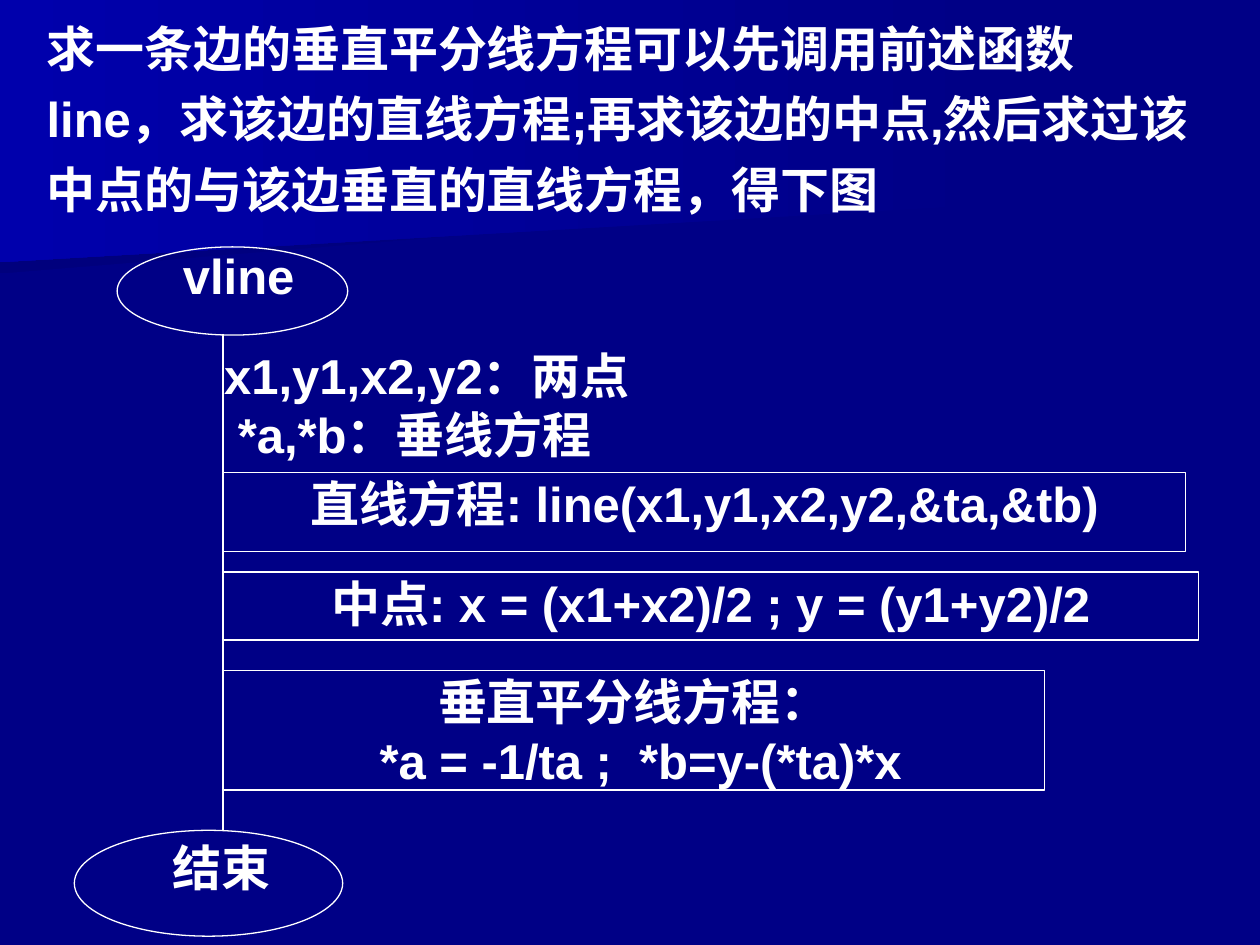
from lxml import etree
from pptx import Presentation
from pptx.dml.color import RGBColor
from pptx.enum.shapes import MSO_CONNECTOR, MSO_SHAPE
from pptx.enum.text import MSO_ANCHOR, MSO_AUTO_SIZE, PP_ALIGN
from pptx.oxml.ns import qn
from pptx.util import Inches, Pt

STRAIGHT = MSO_CONNECTOR.STRAIGHT
OVAL, RECTANGLE = MSO_SHAPE.OVAL, MSO_SHAPE.RECTANGLE
TOP, MIDDLE = MSO_ANCHOR.TOP, MSO_ANCHOR.MIDDLE
LEFT, CENTER = PP_ALIGN.LEFT, PP_ALIGN.CENTER
COLORS = {
    "navy": RGBColor.from_string("000086"),
    "shade": RGBColor.from_string("00007D"),
    "glow": RGBColor.from_string("0000AC"),
    "white": RGBColor.from_string("FFFFFF"),
}


def write_text(frame, lines, align, inset=0.01):
    frame.word_wrap = True
    frame.vertical_anchor = TOP
    frame.margin_left = frame.margin_right = Inches(inset)
    frame.margin_top = frame.margin_bottom = Inches(min(inset, 0.05))
    frame.text = "\n".join(lines)
    for paragraph in frame.paragraphs:
        paragraph.alignment = align
        for run in paragraph.runs:
            run.font.name = "Arial"
            run.font.size = Pt(28)
            run.font.bold = True
            run.font.color.rgb = COLORS["white"]


def add_outline(kind, left, top, width, height):
    outline = slide.shapes.add_shape(
        kind, Inches(left), Inches(top), Inches(width), Inches(height))
    outline.shadow.inherit = False
    outline.fill.background()
    outline.line.color.rgb = COLORS["white"]
    outline.line.width = Pt(0.75)
    return outline


prs = Presentation()
prs.slide_width, prs.slide_height = Inches(10), Inches(7.5)
slide = prs.slides.add_slide(prs.slide_layouts[5])
slide.background.fill.solid()
slide.background.fill.fore_color.rgb = COLORS["navy"]

beams = [
    ("shade", [(0, 1.01), (7.79, 1.01), (7.78, 1.53), (0, 2.17)]),
    ("glow", [(0, 0), (7.92, 0), (7.92, 1.62), (0, 2.08)]),
]
for tint, corners in beams:
    points = [(Inches(x), Inches(y)) for x, y in corners]
    builder = slide.shapes.build_freeform(*points[0])
    builder.add_line_segments(points[1:], close=True)
    beam = builder.convert_to_shape()
    beam.shadow.inherit = False
    beam.line.fill.background()
    beam.fill.gradient()
    beam.fill.gradient_angle = 180
    for stop, color, position in zip(beam.fill.gradient_stops, ("navy", tint), (0, 1)):
        stop.color.rgb = COLORS[color]
        stop.position = position

title = slide.shapes.title
title.element.getparent().append(title.element)
title.left, title.top = Inches(0.27), Inches(0)
title.width, title.height = Inches(9.29), Inches(1.78)
write_text(title.text_frame, [
    "求一条边的垂直平分线方程可以先调用前述函数 line，求该边的直线方程;"
    "再求该边的中点,然后求过该中点的与该边垂直的直线方程，得下图"], LEFT, 0.1)
title.text_frame.vertical_anchor = MIDDLE
title.text_frame.auto_size = MSO_AUTO_SIZE.SHAPE_TO_FIT_TEXT
title.text_frame.paragraphs[0].line_spacing = 1.2

flow_x = 1.77
flow = slide.shapes.add_connector(
    STRAIGHT, Inches(flow_x), Inches(2.65), Inches(flow_x), Inches(6.59))
flow.line.color.rgb = COLORS["white"]
flow.line.width = Pt(1)
etree.SubElement(flow.element.spPr, qn("a:effectLst"))

for terminal in [(0.93, 1.96, 1.83, 0.7), (0.59, 6.59, 2.13, 0.84)]:
    add_outline(OVAL, *terminal)

steps = [
    (3.75, 7.64, 0.63, ["直线方程: line(x1,y1,x2,y2,&ta,&tb)"]),
    (4.54, 7.74, 0.54, ["中点: x = (x1+x2)/2 ; y = (y1+y2)/2"]),
    (5.32, 6.52, 0.95, ["垂直平分线方程：", " *a = -1/ta ;  *b=y-(*ta)*x"]),
]
for top, width, height, lines in steps:
    step = add_outline(RECTANGLE, flow_x, top, width, height)
    write_text(step.text_frame, lines, CENTER)

labels = [
    (0.83, 1.94, 2.13, 0.71, ["vline"], CENTER),
    (flow_x, 2.73, 3.8, 0.96, ["x1,y1,x2,y2：两点", " *a,*b：垂线方程"], LEFT),
    (0.59, 6.64, 2.33, 0.78, ["结束"], CENTER),
]
for left, top, width, height, lines, align in labels:
    label = slide.shapes.add_textbox(
        Inches(left), Inches(top), Inches(width), Inches(height))
    write_text(label.text_frame, lines, align)

prs.save("out.pptx")
